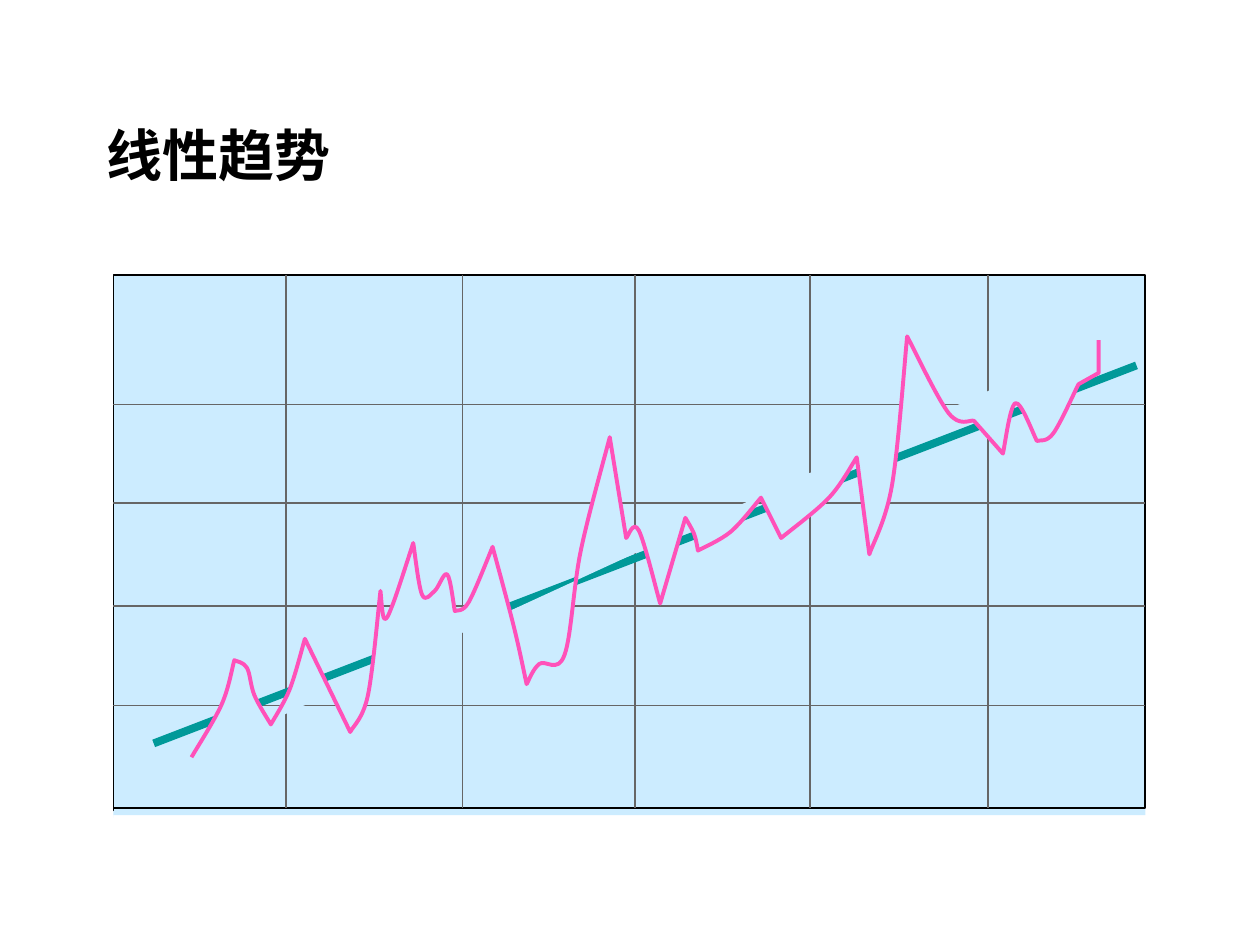
from lxml import etree
from pptx import Presentation
from pptx.dml.color import RGBColor
from pptx.enum import shapes, text
from pptx.oxml import ns
from pptx.util import Inches, Pt

LEFT, TOP, RIGHT, BOTTOM = 0.9, 2.18, 9.09, 6.41
COLUMNS = [2.27, 3.67, 5.04, 6.43, 7.84]
ROWS = [3.21, 3.99, 4.81, 5.6]

# The series is smooth within each run and has a corner where a run ends.
SERIES_START = (1.52, 6.01)
SERIES_RUNS = [
    [(1.76, 5.59), (1.86, 5.24)],
    [(1.96, 5.3), (2.02, 5.52), (2.15, 5.75)],
    [(2.3, 5.47), (2.42, 5.07)],
    [(2.78, 5.81)],
    [(2.92, 5.52), (3.02, 4.69)],
    [(3.05, 4.91), (3.12, 4.79), (3.28, 4.31)],
    [(3.35, 4.72), (3.45, 4.69), (3.55, 4.56), (3.61, 4.85)],
    [(3.72, 4.78), (3.91, 4.34)],
    [(4.08, 4.98), (4.18, 5.43)],
    [(4.28, 5.27), (4.48, 5.2), (4.61, 4.37), (4.84, 3.47)],
    [(4.97, 4.27)],
    [(5.07, 4.21), (5.24, 4.79)],
    [(5.44, 4.11)],
    [(5.51, 4.24), (5.54, 4.37)],
    [(5.8, 4.22), (6.04, 3.95)],
    [(6.2, 4.27)],
    [(6.58, 3.95), (6.8, 3.63)],
    [(6.9, 4.4)],
    [(7.08, 3.85), (7.2, 2.67)],
    [(7.53, 3.28), (7.73, 3.34)],
    [(7.96, 3.6)],
    [(8.06, 3.2), (8.23, 3.5)],
    [(8.36, 3.44), (8.56, 3.05)],
    [(8.72, 2.96)],
    [(8.72, 2.7)],
]


def color(value):
    return RGBColor.from_string(value)


def emu(point):
    return tuple(Inches(length) for length in point)


def bezier_points(start, runs):
    """Return two controls and an end for each step of a Catmull-Rom spline."""
    points = []
    for run in runs:
        knots = [start, start, *run, run[-1]]
        for before, first, last, after in zip(knots, knots[1:], knots[2:], knots[3:]):
            points += [
                tuple(a + (c - b) / 6 for a, b, c in zip(first, before, last)),
                tuple(a - (c - b) / 6 for a, b, c in zip(last, first, after)),
                last,
            ]
        start = run[-1]
    return points


class TrendSlide:
    font = "Arial"
    black = "000000"
    panel = "CCECFF"
    grid = "666666"
    trend = "009999"
    series = "FF51B9"

    def __init__(self, presentation):
        self.slide = presentation.slides.add_slide(presentation.slide_layouts[6])
        self.chart = self.slide.shapes.add_group_shape()

    def title(self, wording, left, top, width, height):
        box = self.slide.shapes.add_textbox(*emu((left, top, width, height)))
        frame = box.text_frame
        frame.word_wrap = True
        frame.vertical_anchor = text.MSO_ANCHOR.MIDDLE
        paragraph = frame.paragraphs[0]
        paragraph.text = wording
        paragraph.font.name = self.font
        paragraph.font.size = Pt(32)
        paragraph.font.bold = True
        paragraph.font.color.rgb = color(self.black)

    def line(self, start, end, line_color, width):
        connector = self.chart.shapes.add_connector(
            shapes.MSO_CONNECTOR.STRAIGHT, *emu(start), *emu(end))
        connector.line.color.rgb = color(line_color)
        connector.line.width = Pt(width)
        etree.SubElement(connector._element.spPr, ns.qn("a:effectLst"))

    def outline(self, points, line_color=None, width=1, close=False):
        start, *others = [emu(point) for point in points]
        builder = self.chart.shapes.build_freeform(*start)
        builder.add_line_segments(others, close=close)
        shape = builder.convert_to_shape()
        shape.shadow.inherit = False
        shape.fill.solid()
        shape.fill.fore_color.rgb = color(self.panel)
        if line_color:
            shape.line.color.rgb = color(line_color)
            shape.line.width = Pt(width)
        else:
            shape.line.fill.background()
        return shape

    def frame(self, bottom, line_color=None):
        """Draw the panel, whose left edge runs slightly below its bottom."""
        points = [(LEFT, bottom + 0.02), (LEFT, TOP), (RIGHT, TOP),
                  (RIGHT, bottom), (LEFT, bottom)]
        self.outline(points, line_color, close=True)

    def curve(self, start, runs, line_color, width):
        """Draw an outline, then merge each three line segments into a Bézier."""
        points = [start, *bezier_points(start, runs)]
        shape = self.outline(points, line_color, width)
        segments = list(shape._element.iter(ns.qn("a:lnTo")))
        for i in range(0, len(segments), 3):
            bezier = etree.Element(ns.qn("a:cubicBezTo"))
            segments[i].addprevious(bezier)
            for segment in segments[i:i + 3]:
                bezier.append(segment[0])
                segment.getparent().remove(segment)


def main():
    presentation = Presentation()
    presentation.slide_width = Inches(10)
    presentation.slide_height = Inches(7.5)
    page = TrendSlide(presentation)
    page.title("线性趋势", 0.75, 0.6, 8.75, 1.25)
    page.frame(6.47)
    page.frame(BOTTOM, page.black)
    for x in COLUMNS:
        page.line((x, TOP), (x, BOTTOM), page.grid, 1)
    for y in ROWS:
        page.line((LEFT, y), (RIGHT, y), page.grid, 1)
    page.line((1.22, 5.9), (9.02, 2.9), page.trend, 4.5)
    page.curve(SERIES_START, SERIES_RUNS, page.series, 2.25)
    presentation.save("out.pptx")


if __name__ == "__main__":
    main()
